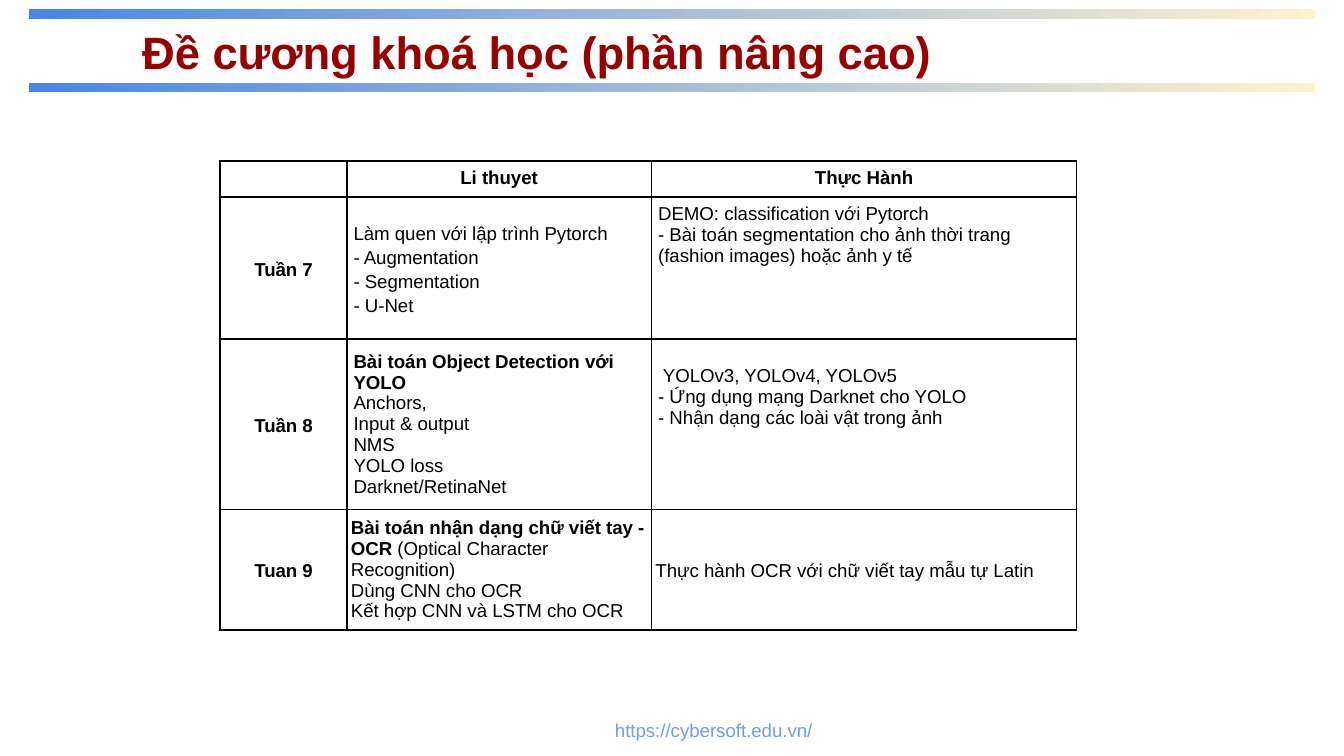
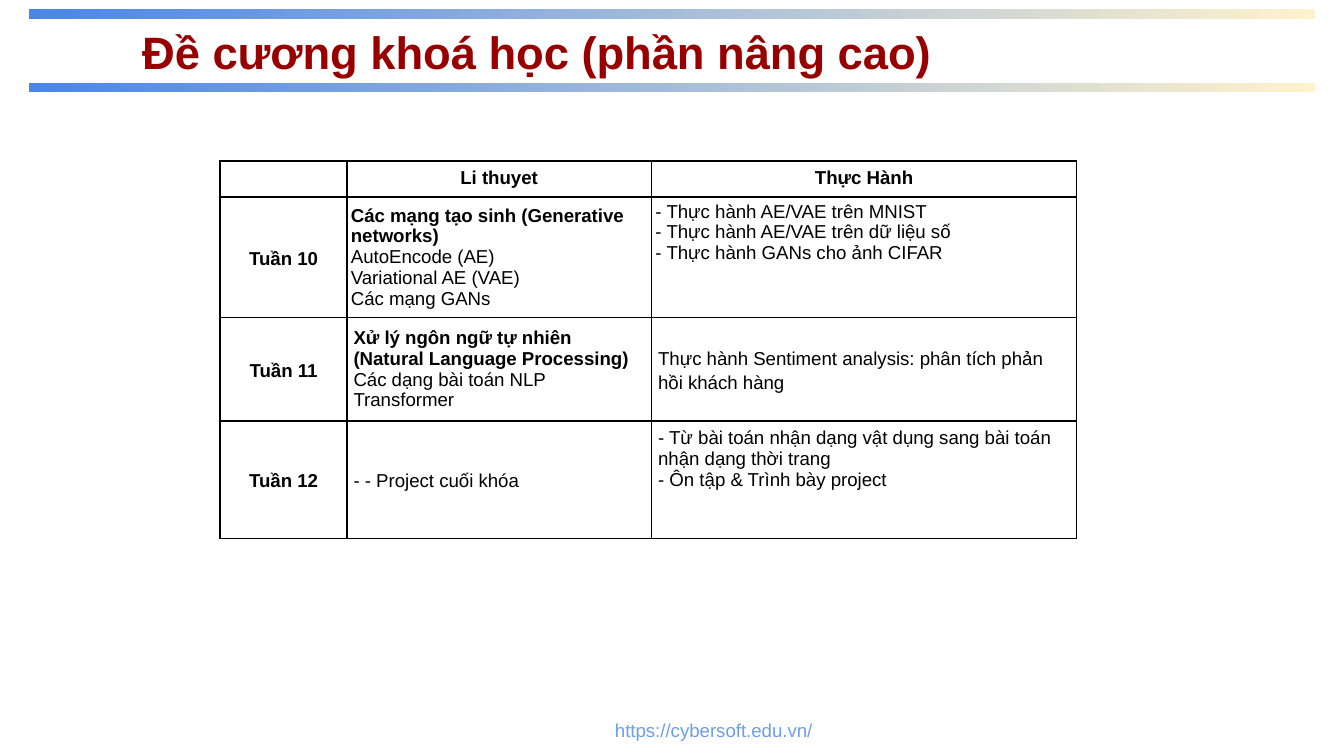
"""Build the two syllabus slides of the advanced part of the course."""
from lxml.etree import SubElement
from pptx import Presentation
from pptx.dml.color import RGBColor
from pptx.enum.shapes import MSO_SHAPE
from pptx.enum.text import MSO_ANCHOR as Anchor, PP_ALIGN as Align
from pptx.oxml.ns import qn
from pptx.util import Pt

BLUE = RGBColor(0x4A, 0x86, 0xE8)
CREAM = RGBColor(0xFF, 0xF2, 0xCC)
LINK_BLUE = RGBColor(0x6D, 0x9E, 0xEB)
DARK_RED = RGBColor(0x98, 0x00, 0x00)
BLACK = RGBColor(0, 0, 0)
FONT = "Arial"
WIDE, TIGHT = 3.6, 2.2
COLUMN_WIDTHS = [67.8, 163.2, 227.8]
HEADER = (18.5, [
    dict(lines=[""]),
    dict(lines=["Li thuyet|"], align=Align.CENTER),
    dict(lines=["Thực Hành|"], align=Align.CENTER),
])


def style_run(run, size, color, bold=False):
    for name, value in dict(name=FONT, size=Pt(size), bold=bold).items():
        setattr(run.font, name, value)
    run.font.color.rgb = color


def fill_cell(cell, lines, spacing=1.0, inset=WIDE, top=None, anchor=Anchor.TOP, align=Align.LEFT):
    margins = dict(left=inset, right=inset, top=inset if top is None else top, bottom=inset)
    for side, margin in margins.items():
        setattr(cell, f"margin_{side}", Pt(margin))
    cell.vertical_anchor = anchor
    for index, line in enumerate(lines):
        paragraph = cell.text_frame.paragraphs[0] if index == 0 else cell.text_frame.add_paragraph()
        paragraph.alignment, paragraph.line_spacing = align, spacing
        lead, _, rest = line.rpartition("|")
        for text, bold in ((lead, True), (rest, False)):
            if text:
                run = paragraph.add_run()
                run.text = text
                style_run(run, 10, BLACK, bold)
        if not line:
            paragraph._p.get_or_add_endParaRPr().set("sz", "1000")
    properties = cell._tc.get_or_add_tcPr()
    for side in "LRTB":
        border = SubElement(properties, qn(f"a:ln{side}"), w=str(Pt(1)))
        SubElement(SubElement(border, qn("a:solidFill")), qn("a:srgbClr"), val=str(BLACK))
    cell.fill.background()


MIDDLE = Anchor.MIDDLE
SYLLABUS = [
    [
        (76, "Tuần 7",
         dict(lines=["Làm quen với lập trình Pytorch", "- Augmentation", "- Segmentation", "- U-Net"],
              spacing=1.15, anchor=MIDDLE),
         dict(lines=["DEMO: classification với Pytorch",
                     "- Bài toán segmentation cho ảnh thời trang (fashion images) hoặc ảnh y tế"])),
        (85.5, "Tuần 8",
         dict(lines=["Bài toán Object Detection với YOLO|", "Anchors,", "Input & output", "NMS",
                     "YOLO loss", "Darknet/RetinaNet"], anchor=MIDDLE),
         dict(lines=[" YOLOv3, YOLOv4, YOLOv5", "- Ứng dụng mạng Darknet cho YOLO",
                     "- Nhận dạng các loài vật trong ảnh"], top=14.5)),
        (60, "Tuan 9",
         dict(lines=["Bài toán nhận dạng chữ viết tay - OCR| (Optical Character Recognition)",
                     "Dùng CNN cho OCR", "Kết hợp CNN và LSTM cho OCR"], inset=TIGHT, anchor=MIDDLE),
         dict(lines=["Thực hành OCR với chữ viết tay mẫu tự Latin"],
              spacing=1.15, inset=TIGHT, anchor=MIDDLE)),
    ],
    [
        (60, "Tuần 10",
         dict(lines=["Các mạng tạo sinh (Generative networks)|", "AutoEncode (AE)",
                     "Variational AE (VAE)", "Các mạng GANs"], inset=TIGHT, anchor=MIDDLE),
         dict(lines=["- Thực hành AE/VAE trên MNIST", "- Thực hành AE/VAE trên dữ liệu số",
                     "- Thực hành GANs cho ảnh CIFAR"], inset=TIGHT)),
        (52, "Tuần 11",
         dict(lines=["Xử lý ngôn ngữ tự nhiên (Natural Language Processing)|",
                     "Các dạng bài toán NLP", "Transformer"], anchor=MIDDLE),
         dict(lines=["Thực hành Sentiment analysis: phân tích phản hồi khách hàng"],
              spacing=1.15, anchor=MIDDLE)),
        (63, "Tuần 12",
         dict(lines=["- - Project cuối khóa"], spacing=1.15, anchor=MIDDLE),
         dict(lines=["- Từ bài toán nhận dạng vật dụng sang bài toán nhận dạng thời trang",
                     "- Ôn tập & Trình bày project"])),
    ],
]

deck = Presentation()
deck.slide_width, deck.slide_height = Pt(720), Pt(405)

for weeks in SYLLABUS:
    slide = deck.slides.add_slide(deck.slide_layouts[5])

    for band_top in (44.5, 5):
        band = slide.shapes.add_shape(MSO_SHAPE.RECTANGLE, Pt(15.6), Pt(band_top), Pt(688.8), Pt(5))
        band.shadow.inherit = False
        band.line.fill.background()
        band.fill.gradient()
        band.fill.gradient_angle = 0
        for stop, color in zip(band.fill.gradient_stops, (BLUE, CREAM)):
            stop.color.rgb = color

    site = slide.shapes.add_textbox(Pt(267.8), Pt(383.8), Pt(229), Pt(14.4))
    site_frame = site.text_frame
    site_format = dict(word_wrap=True, vertical_anchor=MIDDLE, margin_top=0, margin_bottom=0)
    for name, value in site_format.items():
        setattr(site_frame, name, value)
    site_frame.paragraphs[0].alignment = Align.CENTER
    site_run = site_frame.paragraphs[0].add_run()
    site_run.text = "https://cybersoft.edu.vn/"
    style_run(site_run, 10, LINK_BLUE)

    title = slide.shapes.title
    for name, value in dict(left=69, top=5.8, width=626.4, height=38.2).items():
        setattr(title, name, Pt(value))
    for side in ("left", "right", "top", "bottom"):
        setattr(title.text_frame, f"margin_{side}", Pt(7.2))
    title.text_frame.vertical_anchor = Anchor.TOP
    title.text_frame.paragraphs[0].alignment = Align.LEFT
    title_run = title.text_frame.paragraphs[0].add_run()
    title_run.text = "Đề cương khoá học (phần nâng cao)"
    style_run(title_run, 24.3, DARK_RED, True)

    rows = [HEADER]
    for height, week, theory, practice in weeks:
        label = dict(lines=[f"{week}|"], spacing=1.15, anchor=MIDDLE, align=Align.CENTER)
        rows.append((height, [label, theory, practice]))
    total_height = sum(height for height, _ in rows)
    schedule = slide.shapes.add_table(len(rows), len(COLUMN_WIDTHS), Pt(118), Pt(86.4),
                                      Pt(sum(COLUMN_WIDTHS)), Pt(total_height)).table
    schedule.first_row = schedule.horz_banding = False
    for column, width in zip(schedule.columns, COLUMN_WIDTHS):
        column.width = Pt(width)
    for row, (height, contents) in zip(schedule.rows, rows):
        row.height = Pt(height)
        for cell, content in zip(row.cells, contents):
            fill_cell(cell, **content)

deck.save("out.pptx")
